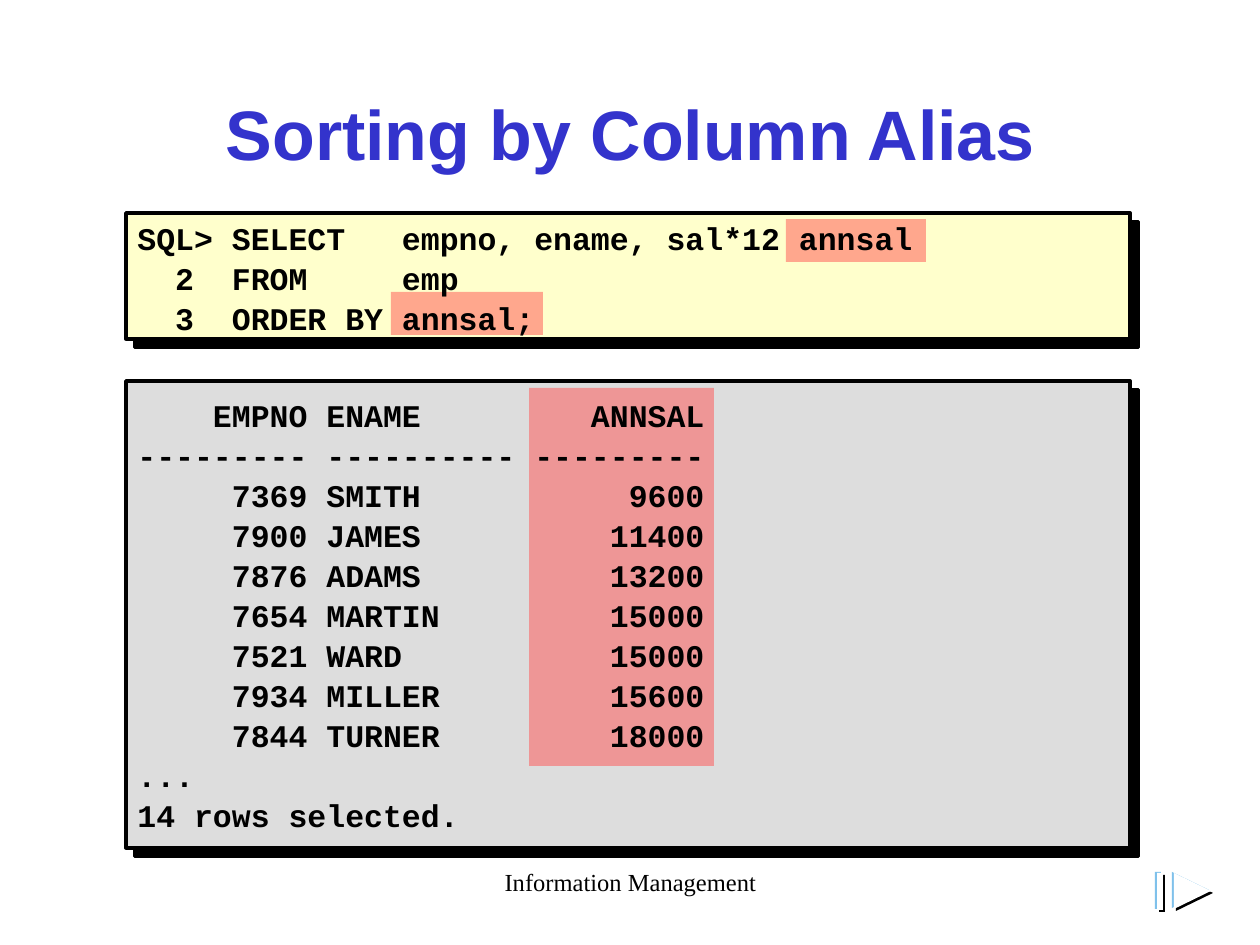
from lxml import etree
from pptx import Presentation
from pptx.dml.color import RGBColor
from pptx.enum.shapes import MSO_SHAPE
from pptx.enum.text import MSO_ANCHOR, PP_ALIGN
from pptx.oxml.ns import qn
from pptx.util import Pt

RECT = MSO_SHAPE.RECTANGLE
TOP, MIDDLE = MSO_ANCHOR.TOP, MSO_ANCHOR.MIDDLE
LEFT, CENTER = PP_ALIGN.LEFT, PP_ALIGN.CENTER
EMU_PER_PX = 914400 / 126

TITLE = "Sorting by Column Alias"
FOOTER = "Information Management"
QUERY = [
    "SQL> SELECT   empno, ename, sal*12 annsal",
    "  2  FROM     emp",
    "  3  ORDER BY annsal;",
]
RESULT = [
    "    EMPNO ENAME         ANNSAL",
    "--------- ---------- ---------",
    "     7369 SMITH           9600",
    "     7900 JAMES          11400",
    "     7876 ADAMS          13200",
    "     7654 MARTIN         15000",
    "     7521 WARD           15000",
    "     7934 MILLER         15600",
    "     7844 TURNER         18000",
    "...",
    "14 rows selected.",
]
PANELS = [
    ((126, 213, 1004, 126), "FFFFCC", (125, 212, 1008, 130), QUERY),
    ((126, 381, 1004, 467), "DDDDDD", (125, 379, 1008, 470), RESULT),
]
HIGHLIGHTS = [(391, 292, 152, 43), (529, 388, 185, 378), (786, 219, 140, 43)]
ARROW_LAYERS = [(4, 3, "000000"), (0, 0, "7FC1EB"), (2, 1, "FFFFFF")]
BAR = (1155, 872, 6, 37)
TRIANGLE = [(1209, 890), (1172, 872), (1172, 908)]

TITLE_FONT = {"name": "Arial", "size": Pt(40), "bold": True}
CODE_FONT = {"name": "Courier New", "size": Pt(18), "bold": True}
FOOTER_FONT = {"name": "Times New Roman", "size": Pt(14), "bold": False}


def px(n):
    return round(n * EMU_PER_PX)


def rgb(hex_color):
    return RGBColor.from_string(hex_color)


def add_shadow(props, points):
    effects = etree.SubElement(props, qn("a:effectLst"))
    shadow = etree.SubElement(effects, qn("a:outerShdw"), dist=str(Pt(points)),
                              dir="2700000", algn="ctr", rotWithShape="0")
    etree.SubElement(shadow, qn("a:srgbClr"), val="000000")


def paint(sp, color):
    sp.shadow.inherit = False
    sp.fill.solid()
    sp.fill.fore_color.rgb = rgb(color)
    sp.line.fill.background()
    return sp


def add_rect(s, box, color):
    return paint(s.shapes.add_shape(RECT, *map(px, box)), color)


def add_panel(s, box, color):
    sp = add_rect(s, box, color)
    sp.line.color.rgb = rgb("000000")
    sp.line.width = Pt(2)
    props = sp._element.spPr
    props.remove(props.find(qn("a:effectLst")))
    add_shadow(props, 7.1)


def add_highlight(s, box):
    sp = add_rect(s, box, "FF5050")
    color = sp._element.spPr.find(qn("a:solidFill"))[0]
    etree.SubElement(color, qn("a:alpha"), val="50000")


def write(tf, lines, font, color, align, anchor=TOP, wrap=True, spacing=1.0):
    tf.word_wrap = wrap
    tf.vertical_anchor = anchor
    for i, line in enumerate(lines):
        p = tf.paragraphs[0] if i == 0 else tf.add_paragraph()
        p.alignment = align
        p.line_spacing = spacing
        r = p.add_run()
        r.text = line
        r.font.color.rgb = rgb(color)
        for name, value in font.items():
            setattr(r.font, name, value)


def add_text(s, box, *args, **kwargs):
    write(s.shapes.add_textbox(*map(px, box)).text_frame, *args, **kwargs)


def add_title(s):
    sp = s.shapes.title
    sp.left, sp.top, sp.width, sp.height = map(px, (95, 84, 1071, 158))
    write(sp.text_frame, [TITLE], TITLE_FONT, "3333CC", CENTER)
    props = sp.text_frame.paragraphs[0].runs[0].font._element
    add_shadow(props, 3)
    props.insert(1, props.find(qn("a:effectLst")))


def add_arrow(s):
    for dx, dy, color in ARROW_LAYERS:
        x, y, w, h = BAR
        add_rect(s, (x + dx, y + dy, w, h), color)
    for dx, dy, color in ARROW_LAYERS:
        points = [(px(x + dx), px(y + dy)) for x, y in TRIANGLE]
        builder = s.shapes.build_freeform(*points[0])
        builder.add_line_segments(points[1:], close=True)
        paint(builder.convert_to_shape(), color)


def main():
    prs = Presentation()
    prs.slide_width, prs.slide_height = px(1260), px(945)
    s = prs.slides.add_slide(prs.slide_layouts[5])
    add_text(s, (431, 861, 399, 63), [FOOTER], FOOTER_FONT, "000000", CENTER)
    for box, color, _, _ in PANELS:
        add_panel(s, box, color)
    add_title(s)
    for box in HIGHLIGHTS:
        add_highlight(s, box)
    for _, _, box, lines in PANELS:
        add_text(s, box, lines, CODE_FONT, "000000", LEFT, MIDDLE, False, 1.06)
    add_arrow(s)
    prs.save("out.pptx")


if __name__ == "__main__":
    main()
